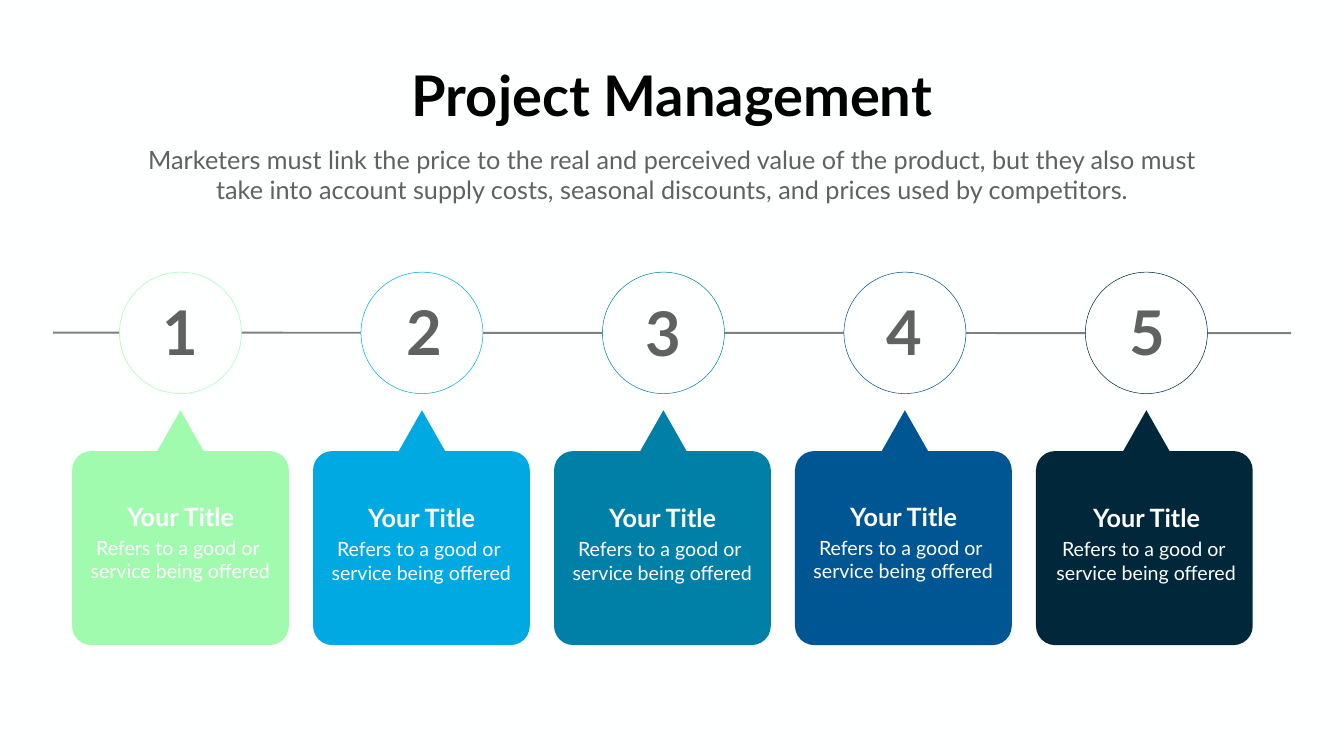
from dataclasses import dataclass

from lxml import etree
from pptx import Presentation
from pptx.dml.color import RGBColor
from pptx.enum.shapes import MSO_CONNECTOR, MSO_SHAPE
from pptx.enum.text import MSO_AUTO_SIZE, PP_ALIGN
from pptx.oxml.ns import qn
from pptx.slide import Slide
from pptx.util import Inches, Pt

STRAIGHT = MSO_CONNECTOR.STRAIGHT
OVAL = MSO_SHAPE.OVAL
FIT_SHAPE = MSO_AUTO_SIZE.SHAPE_TO_FIT_TEXT
LEFT, CENTER = PP_ALIGN.LEFT, PP_ALIGN.CENTER


@dataclass(frozen=True)
class Theme:
    font: str = "Lato"
    background: str = "FEFFFF"
    heading: str = "000000"
    muted: str = "616161"
    timeline: str = "808080"
    on_card: str = "FFFFFF"
    heading_size: float = 80
    intro_size: float = 36
    number_size: float = 88
    card_title_size: float = 36
    card_body_size: float = 28
    timeline_width: float = 2.81
    circle_width: float = 0.75


@dataclass(frozen=True)
class Box:
    left: float
    top: float
    width: float
    height: float


@dataclass(frozen=True)
class Step:
    number: str
    color: str
    number_left: float
    number_top: float
    title_left: float
    title_top: float
    title: str = "Your Title"
    body: str = "Refers to a good or \nservice being offered"


THEME = Theme()
STEPS = [
    Step("1", "A1FBAF", 3.12, 5.78, 2.28, 9.89),
    Step("2", "00A9E1", 7.97, 5.79, 7.06, 9.92),
    Step("3", "0080A7", 12.7, 5.8, 11.84, 9.92),
    Step("4", "005693", 17.49, 5.79, 16.62, 9.89),
    Step("5", "00283A", 22.3, 5.78, 21.44, 9.92),
]

# Timeline grid
FIRST_CENTER, CENTER_PITCH = 3.58, 4.79
CIRCLE_TOP, CIRCLE_WIDTH, CIRCLE_HEIGHT = 5.4, 2.42, 2.41

# Card geometry
FIRST_CARD_LEFT, CARD_PITCH, CARD_WIDTH = 1.43, 4.78, 4.3
POINTER_TOP, CARD_TOP, CARD_BOTTOM = 8.14, 8.95, 12.8
POINTER_HALF, CORNER_RADIUS = 0.46, 0.38
QUARTER_TURN = 90 * 60000


def rgb(color: str) -> RGBColor:
    return RGBColor.from_string(color)


def add_text(slide: Slide, box: Box, text: str, size: float, color: str,
             bold: bool = False, align: PP_ALIGN = CENTER, wrap: bool = True) -> None:
    frame = slide.shapes.add_textbox(Inches(box.left), Inches(box.top),
                                     Inches(box.width), Inches(box.height)).text_frame
    frame.word_wrap = wrap
    frame.auto_size = FIT_SHAPE
    frame.text = text
    for paragraph in frame.paragraphs:
        paragraph.alignment = align
        for run in paragraph.runs:
            run.font.name = THEME.font
            run.font.size = Pt(size)
            run.font.bold = bold
            run.font.color.rgb = rgb(color)


def add_timeline(slide: Slide) -> None:
    timeline = slide.shapes.add_connector(STRAIGHT, Inches(1.05), Inches(6.6),
                                          Inches(25.61), Inches(6.61))
    timeline.line.color.rgb = rgb(THEME.timeline)
    timeline.line.width = Pt(THEME.timeline_width)
    etree.SubElement(timeline._element.spPr, qn("a:effectLst"))


def add_circle(slide: Slide, center: float, color: str) -> None:
    circle = slide.shapes.add_shape(OVAL, Inches(center - CIRCLE_WIDTH / 2), Inches(CIRCLE_TOP),
                                    Inches(CIRCLE_WIDTH), Inches(CIRCLE_HEIGHT))
    circle.shadow.inherit = False
    circle.fill.solid()
    circle.fill.fore_color.rgb = rgb(THEME.background)
    circle.line.color.rgb = rgb(color)
    circle.line.width = Pt(THEME.circle_width)


def add_card(slide: Slide, left: float, pointer: float, color: str) -> None:
    right = left + CARD_WIDTH
    inner_left, inner_right = left + CORNER_RADIUS, right - CORNER_RADIUS
    inner_top, inner_bottom = CARD_TOP + CORNER_RADIUS, CARD_BOTTOM - CORNER_RADIUS
    outline = [
        (pointer - POINTER_HALF, CARD_TOP), (pointer, POINTER_TOP),
        (pointer + POINTER_HALF, CARD_TOP),
        # Start and end of each corner, clockwise from the top right
        (inner_right, CARD_TOP), (right, inner_top),
        (right, inner_bottom), (inner_right, CARD_BOTTOM),
        (inner_left, CARD_BOTTOM), (left, inner_bottom),
        (left, inner_top), (inner_left, CARD_TOP),
    ]
    points = [(Inches(x), Inches(y)) for x, y in outline]
    builder = slide.shapes.build_freeform(*points[0])
    builder.add_line_segments(points[1:], close=True)
    card = builder.convert_to_shape()
    card.shadow.inherit = False
    card.fill.solid()
    card.fill.fore_color.rgb = rgb(color)
    card.line.fill.background()

    # Round the corners: each segment that ends a corner becomes an arc
    segments = list(card._element.spPr.iter(qn("a:lnTo")))
    radius = str(Inches(CORNER_RADIUS))
    for turn, segment in enumerate(segments[3::2]):
        arc = etree.Element(qn("a:arcTo"), wR=radius, hR=radius,
                            stAng=str((turn + 3) % 4 * QUARTER_TURN), swAng=str(QUARTER_TURN))
        segment.getparent().replace(segment, arc)


def add_step_text(slide: Slide, step: Step) -> None:
    add_text(slide, Box(step.title_left, step.title_top, 2.61, 0.71), step.title,
             THEME.card_title_size, THEME.on_card, bold=True)
    add_text(slide, Box(step.title_left - 0.69, step.title_top + 0.69, 3.97, 1.04), step.body,
             THEME.card_body_size, THEME.on_card)
    add_text(slide, Box(step.number_left, step.number_top, 0.92, 1.58), step.number,
             THEME.number_size, THEME.muted, bold=True, align=LEFT, wrap=False)


def main() -> None:
    deck = Presentation()
    deck.slide_width, deck.slide_height = Inches(26.66), Inches(15)
    slide = deck.slides.add_slide(deck.slide_layouts[6])
    slide.background.fill.solid()
    slide.background.fill.fore_color.rgb = rgb(THEME.background)

    # Timeline, circles and cards
    add_timeline(slide)
    centers = [FIRST_CENTER + index * CENTER_PITCH for index in range(len(STEPS))]
    for step, center in zip(STEPS, centers):
        add_circle(slide, center, step.color)
    for index, (step, center) in enumerate(zip(STEPS, centers)):
        add_card(slide, FIRST_CARD_LEFT + index * CARD_PITCH, center, step.color)

    # Heading and introduction
    add_text(slide, Box(7.95, 1.15, 10.76, 1.45), "Project Management",
             THEME.heading_size, THEME.heading, bold=True, wrap=False)
    add_text(slide, Box(2.68, 2.81, 21.3, 1.31),
             "Marketers must link the price to the real and perceived value of the product, "
             "but they also must take into account supply costs, seasonal discounts, "
             "and prices used by competitors.",
             THEME.intro_size, THEME.muted)

    # Card texts and step numbers
    for step in STEPS:
        add_step_text(slide, step)

    deck.save("out.pptx")


if __name__ == "__main__":
    main()
